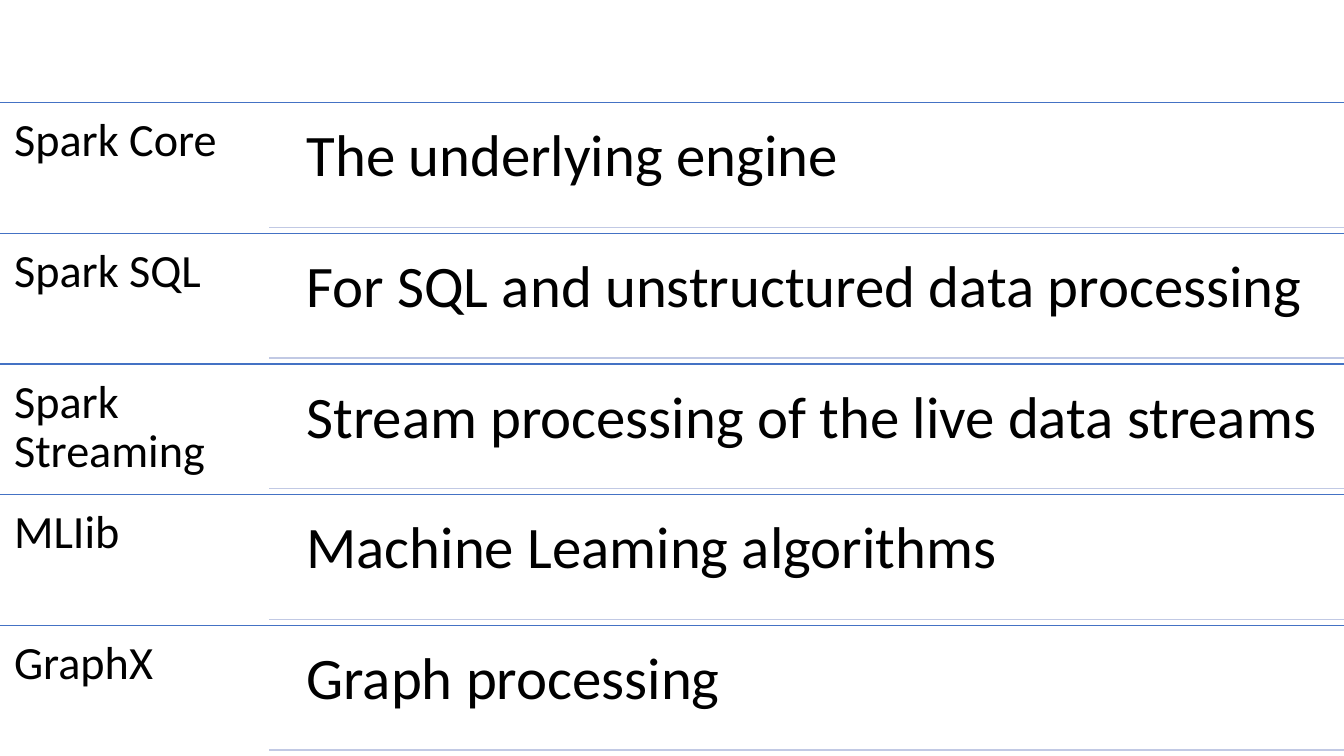
from lxml.etree import SubElement
from pptx import Presentation
from pptx.dml.color import RGBColor
from pptx.enum.shapes import MSO_CONNECTOR as Connector
from pptx.enum.text import MSO_ANCHOR as Anchor, PP_ALIGN as Align
from pptx.oxml.ns import qn
from pptx.util import Inches, Pt

SLIDE_WIDTH, SLIDE_HEIGHT = 13.33, 7.5
COLORS = {"text": "000000", "row": "4472C4", "detail": "C1C9E4"}
COMPONENTS = [
    ("Spark Core", "The underlying engine"),
    ("Spark SQL", "For SQL and unstructured data processing"),
    ("Spark Streaming", "Stream processing of the live data streams"),
    ("MLIib", "Machine Leaming algorithms"),
    ("GraphX", "Graph processing"),
]
LIST_TOP = 1.02
ROW_HEIGHT = (SLIDE_HEIGHT - LIST_TOP) / len(COMPONENTS)
NAME_WIDTH = 2.67
DETAIL_LEFT = 2.87
DETAIL_GAP = 0.06


class SlideBuilder:
    font = "Calibri"

    def __init__(self, slide):
        self.slide = slide

    def rule(self, left, top, color):
        line = self.slide.shapes.add_connector(
            Connector.STRAIGHT, Inches(left), Inches(top), Inches(SLIDE_WIDTH), Inches(top)
        )
        line.line.color.rgb = RGBColor.from_string(COLORS[color])
        line.line.width = Pt(1)
        SubElement(line._element.spPr, qn("a:effectLst"))

    def text(self, words, left, top, width, height, size, inset):
        box = self.slide.shapes.add_textbox(
            Inches(left), Inches(top), Inches(width), Inches(height)
        )
        frame = box.text_frame
        frame.word_wrap = True
        frame.vertical_anchor = Anchor.TOP
        frame.margin_left = frame.margin_right = Inches(inset)
        frame.margin_top = frame.margin_bottom = Inches(inset)
        paragraph = frame.paragraphs[0]
        paragraph.text = words
        paragraph.alignment = Align.LEFT
        paragraph.line_spacing = 0.9
        paragraph.font.name = self.font
        paragraph.font.size = Pt(size)
        paragraph.font.color.rgb = RGBColor.from_string(COLORS["text"])

    def component(self, name, detail, top):
        detail_height = ROW_HEIGHT - 2 * DETAIL_GAP
        detail_top = top + DETAIL_GAP
        self.rule(0, top, "row")
        self.text(name, 0, top, NAME_WIDTH, ROW_HEIGHT, 33, 0.14)
        self.text(detail, DETAIL_LEFT, detail_top, SLIDE_WIDTH - DETAIL_LEFT,
                  detail_height, 42, 0.17)
        self.rule(NAME_WIDTH, detail_top + detail_height, "detail")


def main():
    presentation = Presentation()
    presentation.slide_width = Inches(SLIDE_WIDTH)
    presentation.slide_height = Inches(SLIDE_HEIGHT)
    builder = SlideBuilder(presentation.slides.add_slide(presentation.slide_layouts[6]))
    for row, (name, detail) in enumerate(COMPONENTS):
        builder.component(name, detail, LIST_TOP + row * ROW_HEIGHT)
    presentation.save("out.pptx")


if __name__ == "__main__":
    main()
